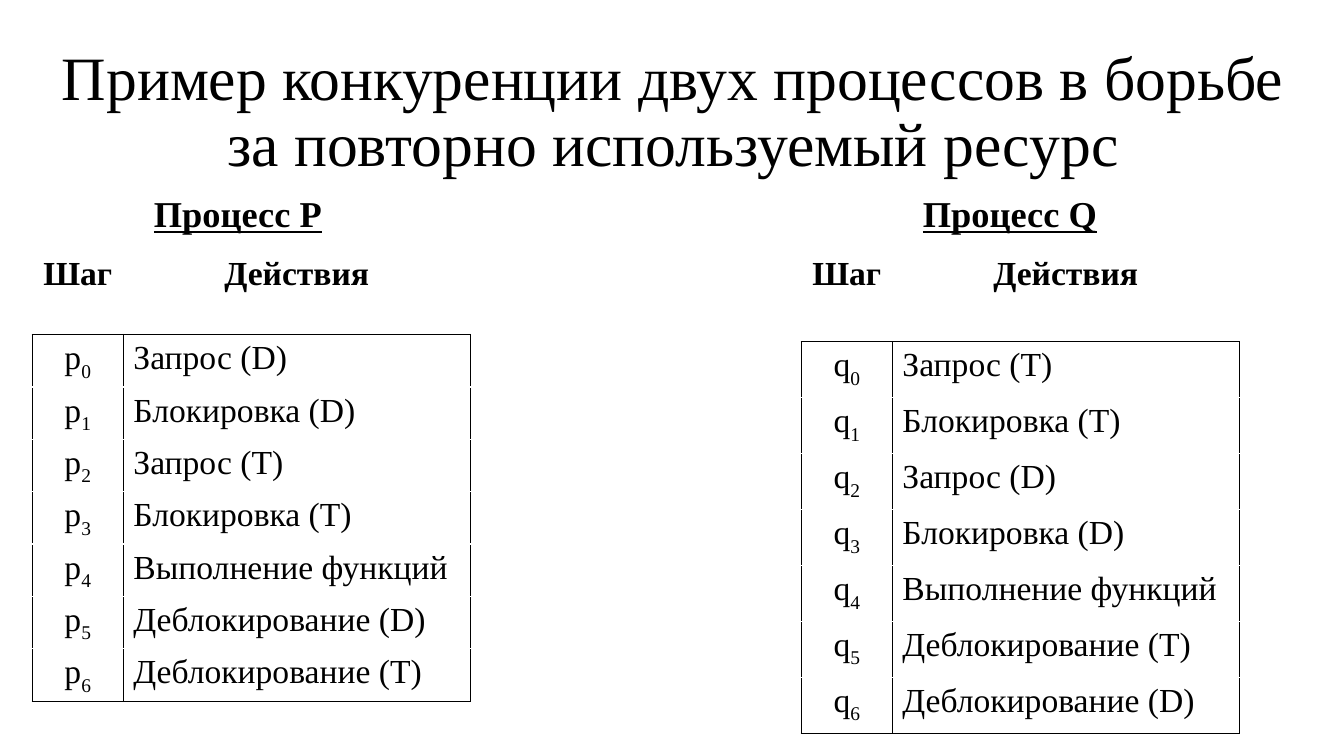
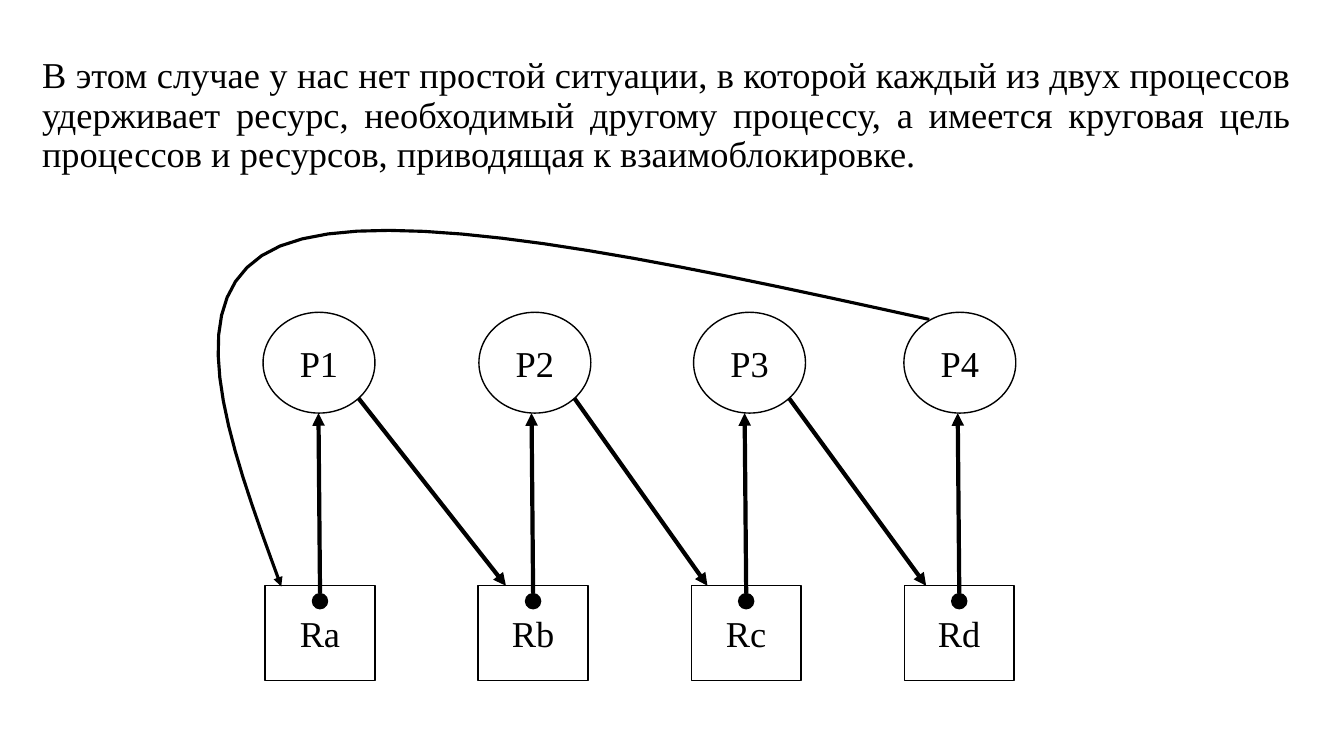
"""Build two slides on how competing processes reach a deadlock."""
from dataclasses import dataclass
from math import sqrt

from lxml.etree import SubElement
from pptx import Presentation
from pptx.dml.color import RGBColor
from pptx.enum.shapes import MSO_CONNECTOR as Link, MSO_SHAPE as Form
from pptx.enum.text import MSO_ANCHOR as Anchor, PP_ALIGN as Align
from pptx.oxml import parse_xml
from pptx.oxml.ns import nsdecls, qn
from pptx.util import Cm, Pt


@dataclass(frozen=True)
class Theme:
    font: str = "Times New Roman"
    ink: str = "000000"
    paper: str = "FFFFFF"
    title: int = 44
    body: int = 26
    cell: int = 24
    thin: float = 1
    curve: float = 2.25
    thick: float = 3


class Deck:
    def __init__(self, theme):
        self.theme = theme
        self.show = Presentation()
        self.show.slide_width, self.show.slide_height = Cm(33.87), Cm(19.05)
        self.slide = None

    def new_slide(self):
        self.slide = self.show.slides.add_slide(self.show.slide_layouts[6])
        self.slide.background.fill.solid()
        self.slide.background.fill.fore_color.rgb = RGBColor.from_string(self.theme.paper)

    def style(self, paragraph, size, align, bold=False, underline=False):
        paragraph.alignment = align
        for run in paragraph.runs:
            font = run.font
            font.name, font.size = self.theme.font, Pt(size)
            font.bold, font.underline = bold, underline
            font.color.rgb = RGBColor.from_string(self.theme.ink)

    def text(self, words, box, size, align, anchor=Anchor.TOP, wrap=True, spacing=None, **marks):
        frame = self.slide.shapes.add_textbox(*map(Cm, box)).text_frame
        frame.word_wrap = wrap
        frame.vertical_anchor = anchor
        frame.text = words
        frame.paragraphs[0].line_spacing = spacing
        self.style(frame.paragraphs[0], size, align, **marks)

    def node(self, form, box, label="", fill=None):
        node = self.slide.shapes.add_shape(form, *map(Cm, box))
        node.shadow.inherit = False
        node.fill.solid()
        node.fill.fore_color.rgb = RGBColor.from_string(fill or self.theme.paper)
        self.outline(node, self.theme.thin)
        if label:
            frame = node.text_frame
            frame.word_wrap = False
            frame.vertical_anchor = Anchor.MIDDLE
            frame.text = label
            self.style(frame.paragraphs[0], self.theme.body, Align.CENTER)

    def outline(self, item, width, arrow=False):
        item.line.color.rgb = RGBColor.from_string(self.theme.ink)
        item.line.width = Pt(width)
        if arrow:
            stroke = item.element.spPr.find(qn("a:ln"))
            SubElement(stroke, qn("a:tailEnd"), type="triangle")

    def arrow(self, start, end):
        arrow = self.slide.shapes.add_connector(Link.STRAIGHT, *map(Cm, (*start, *end)))
        self.outline(arrow, self.theme.thick, arrow=True)
        SubElement(arrow.element.spPr, qn("a:effectLst"))

    def curve(self, points, steps=16):
        track = [points[0]]
        for first in range(0, len(points) - 1, 3):
            a, b, c, d = points[first:first + 4]
            for step in range(1, steps + 1):
                t = step / steps
                u = 1 - t
                weights = u ** 3, 3 * u * u * t, 3 * u * t * t, t ** 3
                track.append(tuple(
                    sum(w * p[axis] for w, p in zip(weights, (a, b, c, d))) for axis in (0, 1)))
        track = [(Cm(x), Cm(y)) for x, y in track]
        builder = self.slide.shapes.build_freeform(*track[0])
        builder.add_line_segments(track[1:], close=False)
        loop = builder.convert_to_shape()
        loop.shadow.inherit = False
        loop.fill.background()
        self.outline(loop, self.theme.curve, arrow=True)

    def border(self, cell, sides):
        for place, side in enumerate(sides):
            cell._tc.get_or_add_tcPr().insert(place, parse_xml(
                f'<a:ln{side} {nsdecls("a")} w="{Pt(self.theme.thin)}"><a:solidFill>'
                f'<a:srgbClr val="{self.theme.ink}"/></a:solidFill></a:ln{side}>'))

    def steps_table(self, left, top, letter, actions, head_height, row_height):
        widths = 2.3, 8.74
        heights = [head_height] + [row_height] * len(actions)
        grid = self.slide.shapes.add_table(
            len(heights), len(widths), Cm(left), Cm(top), Cm(sum(widths)), Cm(sum(heights))).table
        grid.first_row = grid.horz_banding = False
        for column, width in zip(grid.columns, widths):
            column.width = Cm(width)
        rows = [("Шаг", "Действия")] + [(letter, action) for action in actions]
        for number, (row, height) in enumerate(zip(rows, heights)):
            grid.rows[number].height = Cm(height)
            for place, words in enumerate(row):
                cell = grid.cell(number, place)
                cell.fill.background()
                cell.margin_top, cell.margin_bottom = Cm(0.13), Cm(0)
                paragraph = cell.text_frame.paragraphs[0]
                paragraph.text = words
                if number and place == 0:
                    index = paragraph.add_run()
                    index.text = str(number - 1)
                    index._r.get_or_add_rPr().set("baseline", "-25000")
                centred = number == 0 or place == 0
                self.style(paragraph, self.theme.cell,
                           Align.CENTER if centred else Align.LEFT, bold=number == 0)
                sides = ["B"] if number == 0 else ["L", "R"]
                if number == 1:
                    sides.append("T")
                if number == len(actions):
                    sides.append("B")
                self.border(cell, sides)


def competition(deck):
    deck.new_slide()
    deck.text("Пример конкуренции двух процессов в борьбе за повторно используемый ресурс",
              (0.48, 1.02, 32.97, 3.68), deck.theme.title, Align.CENTER, Anchor.MIDDLE,
              spacing=0.9)
    processes = (("P", 0.81, "DT", 4.78, 2.11, 1.32), ("Q", 20.19, "TD", 4.95, 2.29, 1.41))
    for process, left, (first, second), heading_width, head_height, row_height in processes:
        actions = [f"{action} ({resource})" for resource in (first, second)
                   for action in ("Запрос", "Блокировка")]
        actions.append("Выполнение функций")
        actions += [f"Деблокирование ({resource})" for resource in (first, second)]
        deck.steps_table(left, 6.32, process.lower(), actions, head_height, row_height)
        deck.text(f"Процесс {process}", (left + 2.82, 4.7, heading_width, 1.37),
                  deck.theme.body, Align.LEFT, wrap=False, bold=True, underline=True)


def circular_chain(deck):
    deck.new_slide()
    deck.text("В этом случае у нас нет простой ситуации, в которой каждый из двух процессов "
              "удерживает ресурс, необходимый другому процессу, а имеется круговая цель "
              "процессов и ресурсов, приводящая к взаимоблокировке.",
              (0.81, 1.32, 32, 12.09), deck.theme.body, Align.JUSTIFY, spacing=0.9)
    process_top, process_width, process_height = 7.87, 2.82, 2.54
    resource_top, resource_width, resource_height = 14.76, 2.77, 2.39
    dot = 0.38
    process_lefts = 6.63, 12.07, 17.48, 22.78
    resource_lefts = [6.68 + 5.37 * place for place in range(4)]
    request_ends = 12.75, 17.83, 23.34
    process_bottom = process_top + process_height
    for number, (left, name) in enumerate(zip(process_lefts, "abcd"), 1):
        deck.node(Form.OVAL, (left, process_top, process_width, process_height), f"P{number}")
        resource_left = resource_lefts[number - 1]
        deck.node(Form.RECTANGLE, (resource_left, resource_top, resource_width, resource_height),
                  f"R{name}")
        centre, dot_top = resource_left + resource_width / 2, resource_top + 0.2
        deck.node(Form.OVAL, (centre - dot / 2, dot_top, dot, dot), fill=deck.theme.ink)
        deck.arrow((centre, dot_top), (centre - 0.04, process_bottom))
    diagonal = (1 + 1 / sqrt(2)) / 2
    for left, end in zip(process_lefts, request_ends):
        deck.arrow((left + process_width * diagonal, process_top + process_height * diagonal),
                   (end, resource_top))
    deck.curve([(23.42, 8.05), (16.61, 6.55), (9.78, 5.08), (7.06, 6.2),
                (4.34, 7.34), (5.72, 11.05), (7.09, 14.78)])


def main():
    deck = Deck(Theme())
    competition(deck)
    circular_chain(deck)
    deck.show.save("out.pptx")


if __name__ == "__main__":
    main()
